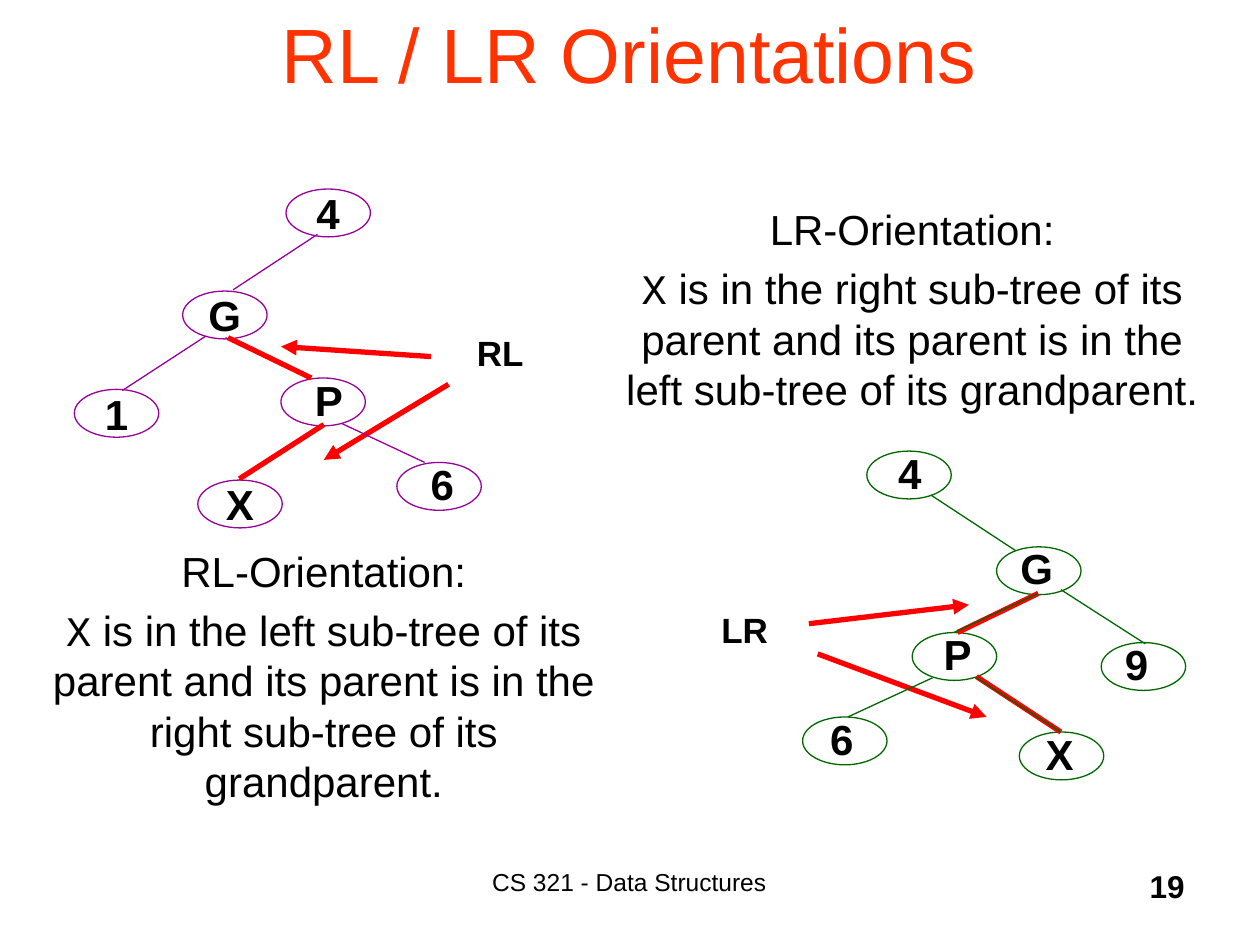
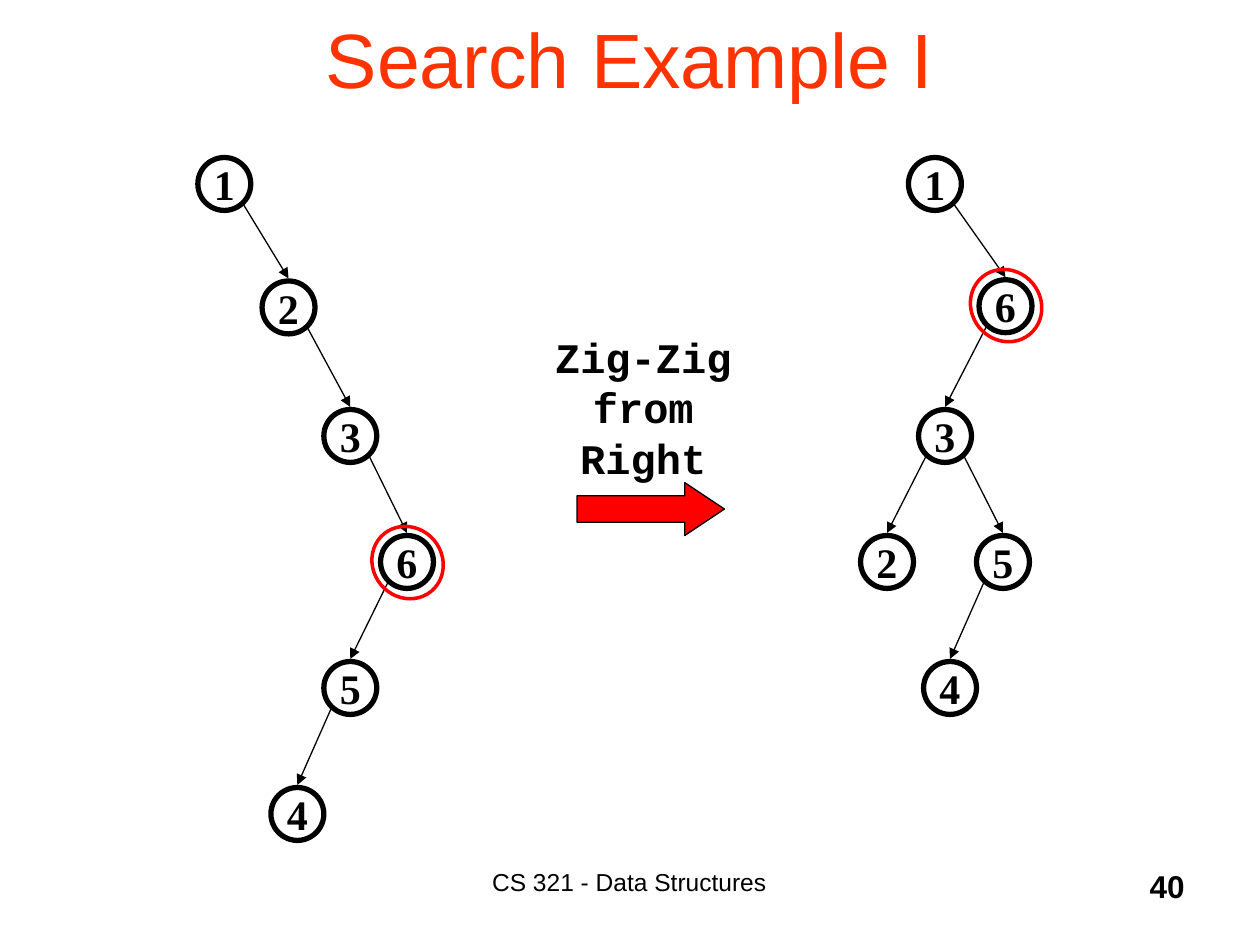
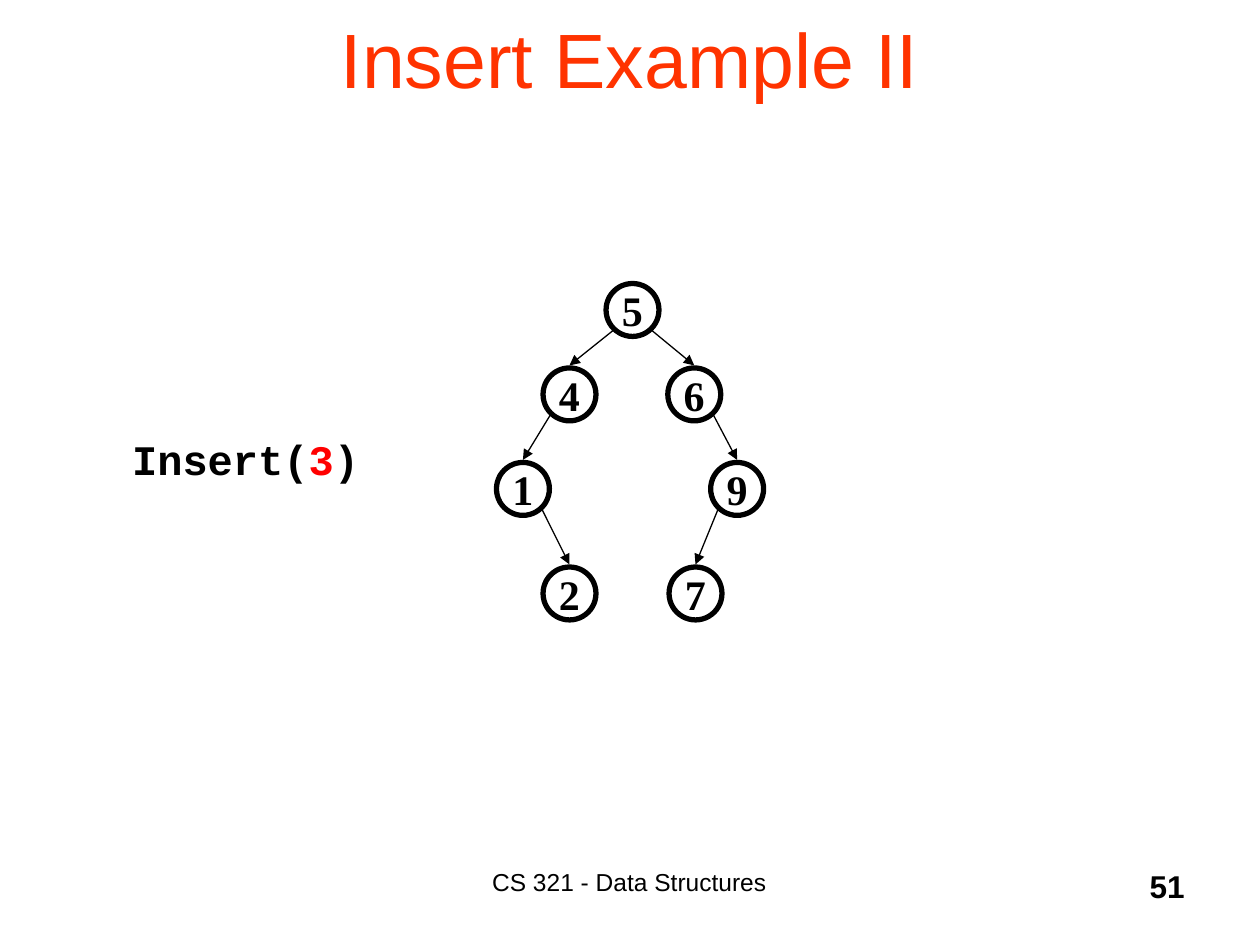
from lxml import etree
from pptx import Presentation
from pptx.dml.color import RGBColor
from pptx.enum.shapes import MSO_CONNECTOR, MSO_SHAPE as SHAPE
from pptx.enum.text import MSO_ANCHOR as ANCHOR, MSO_AUTO_SIZE, PP_ALIGN as ALIGN
from pptx.oxml.ns import qn
from pptx.util import Inches, Pt

BLACK = RGBColor(0x00, 0x00, 0x00)
ORANGE = RGBColor(0xFF, 0x33, 0x00)
RED = RGBColor(0xFF, 0x00, 0x00)
GREEN = RGBColor(0x00, 0x66, 0x00)
PURPLE = RGBColor(0x99, 0x00, 0x99)

SANS, MONO, SERIF = "Arial", "Courier New", "Times New Roman"
TITLE = dict(name=SANS, size=Pt(44), color=ORANGE)
FOOTER = dict(name=SANS, size=Pt(14))
NUMBER = dict(name=SANS, size=Pt(18), bold=True)
BODY = dict(name=SANS, size=Pt(24))
BODY_MONO = dict(name=MONO, size=Pt(24))
LABEL = dict(name=SANS, size=Pt(24), bold=True)
TAG = dict(name=SANS, size=Pt(20), bold=True)
CODE = dict(name=MONO, size=Pt(24), bold=True)
CODE_RED = dict(CODE, color=RED)
KEY = dict(name=SERIF, size=Pt(24), bold=True)
BODY_SPACING = dict(line_spacing=Pt(28.8), space_before=Pt(4.8))

presentation = Presentation()
presentation.slide_width, presentation.slide_height = Inches(10), Inches(7.5)


def write(shape, paragraphs, wrap=True, anchor=ANCHOR.TOP, align=ALIGN.CENTER, **spacing):
    """Fill a shape with paragraphs, each a list of (text, font format) runs."""
    frame = shape.text_frame
    frame.word_wrap, frame.vertical_anchor = wrap, anchor
    frame.auto_size = MSO_AUTO_SIZE.NONE
    for index, runs in enumerate(paragraphs):
        paragraph = frame.add_paragraph() if index else frame.paragraphs[0]
        paragraph.alignment = align
        for name, value in spacing.items():
            setattr(paragraph, name, value)
        for text, font_format in runs:
            run = paragraph.add_run()
            run.text = text
            run.font.color.rgb = BLACK
            for name, value in font_format.items():
                if name == "color":
                    run.font.color.rgb = value
                else:
                    setattr(run.font, name, value)


def draw(slide, kind, place, color, width, fill=None, arrow=False):
    """Draw a shape in a box, or a line (kind None) from one point to another."""
    place = [Inches(value) for value in place]
    if kind is None:
        shape = slide.shapes.add_connector(MSO_CONNECTOR.STRAIGHT, *place)
        if arrow:
            etree.SubElement(shape.line._get_or_add_ln(), qn("a:tailEnd"), type="triangle")
    else:
        shape = slide.shapes.add_shape(kind, *place)
        shape.shadow.inherit = False
        if fill is None:
            shape.fill.background()
        else:
            shape.fill.solid()
            shape.fill.fore_color.rgb = fill
    shape.line.color.rgb, shape.line.width = color, Pt(width)
    if kind is None:
        etree.SubElement(shape._element.spPr, qn("a:effectLst"))
    return shape


# Titles, footers and slide numbers
slides = []
for title, number, box in [
    ("RL / LR Orientations", "19", (0.58, -0.21, 8.83, 1.25)),
    ("Search Example I", "40", (0.75, -0.17, 8.5, 1.25)),
    ("Insert Example II", "51", (0.75, -0.17, 8.5, 1.25)),
]:
    slide = presentation.slides.add_slide(presentation.slide_layouts[5])
    heading = slide.shapes.title
    heading.left, heading.top, heading.width, heading.height = map(Inches, box)
    write(heading, [[(title, TITLE)]], anchor=ANCHOR.MIDDLE)
    for left, width, text, font_format, align in [
        (3.08, 3.83, "CS 321 - Data Structures", FOOTER, ALIGN.CENTER),
        (7.42, 2.08, number, NUMBER, ALIGN.RIGHT),
    ]:
        footer = slide.shapes.add_textbox(*map(Inches, (left, 6.83, width, 0.5)))
        write(footer, [[(text, font_format)]], align=align)
    slides.append(slide)
orientation_slide, search_slide, insert_slide = slides

# Orientation definitions and tags
for name, definition, box in [
    ("RL", " is in the left sub-tree of its parent and its parent is in the "
           "right sub-tree of its grandparent.", (0.19, 4.28, 4.76, 2.2)),
    ("LR", " is in the right sub-tree of its parent and its parent is in the "
           "left sub-tree of its grandparent.", (4.84, 1.57, 4.8, 1.8)),
]:
    text_box = orientation_slide.shapes.add_textbox(*map(Inches, box))
    write(text_box, [[(name + "-Orientation:", BODY)],
                     [("X", BODY_MONO), (definition, BODY)]], **BODY_SPACING)

for name, left, top in [("RL", 3.68, 2.58), ("LR", 5.62, 4.78)]:
    tag = orientation_slide.shapes.add_textbox(*map(Inches, (left, top, 0.58, 0.44)))
    write(tag, [[(name, TAG)]], wrap=False, anchor=ANCHOR.MIDDLE)

# Arrows from the tags to the marked edges
for ends in [(6.42, 4.95, 7.69, 4.8), (6.49, 5.19, 7.83, 5.69),
             (3.42, 2.83, 2.23, 2.75), (3.56, 3.05, 2.57, 3.65)]:
    draw(orientation_slide, None, ends, RED, 3, arrow=True)

# Orientation trees: key, left, top, and the left of a label set apart from its oval
rl_nodes = [("4", 2.27, 1.5, None), ("G", 1.45, 2.31, None), ("1", 0.59, 3.09, None),
            ("P", 2.23, 3, 2.4), ("X", 1.57, 3.81, None), ("6", 3.15, 3.67, 3.32)]
lr_nodes = [("4", 6.88, 3.58, 7.03), ("G", 7.91, 4.34, 8), ("9", 8.74, 5.1, 8.83),
            ("P", 7.24, 5.02, 7.39), ("6", 6.37, 5.69, 6.49), ("X", 8.09, 5.81, 8.2)]
for color, nodes in [(PURPLE, rl_nodes), (GREEN, lr_nodes)]:
    for key, left, top, label_left in nodes:
        label = draw(orientation_slide, SHAPE.OVAL, (left, top, 0.67, 0.38), color, 0.75)
        anchor, align = ANCHOR.MIDDLE, ALIGN.CENTER
        if label_left is not None:
            label = orientation_slide.shapes.add_textbox(
                *map(Inches, (label_left, top - 0.08, 0.44, 0.5)))
            anchor, align = ANCHOR.TOP, ALIGN.LEFT
        write(label, [[(key, LABEL)]], wrap=False, anchor=anchor, align=align,
              space_before=Pt(4.8))

rl_edges = [(2.52, 1.86, 1.85, 2.3), (1.63, 2.67, 0.97, 3.1), (1.79, 2.68, 2.45, 3),
            (2.57, 3.37, 1.9, 3.81), (2.71, 3.36, 3.37, 3.67)]
rl_marks = [(1.81, 2.68, 2.47, 3), (1.9, 3.8, 2.57, 3.37)]
lr_marks = [(7.75, 5.37, 8.42, 5.81), (8.24, 4.71, 7.6, 5.02)]
lr_edges = [(7.39, 3.93, 8.06, 4.37), (8.42, 4.68, 9.09, 5.11), (8.24, 4.71, 7.57, 5.02),
            (7.75, 5.38, 8.42, 5.81), (7.4, 5.38, 6.73, 5.69)]
for color, width, edges in [(PURPLE, 0.75, rl_edges), (RED, 3, rl_marks + lr_marks),
                            (GREEN, 0.75, lr_edges)]:
    for ends in edges:
        draw(orientation_slide, None, ends, color, width)

# Search and insert trees: key -> (left, top, parent key)
NODE = 0.42
before_search = {"1": (1.57, 1.25, None), "2": (2.08, 2.23, "1"), "3": (2.57, 3.25, "2"),
                 "6": (3.02, 4.25, "3"), "5": (2.57, 5.25, "6"), "4": (2.15, 6.25, "5")}
after_search = {"1": (7.21, 1.25, None), "6": (7.77, 2.22, "1"), "3": (7.29, 3.25, "6"),
                "2": (6.83, 4.25, "3"), "5": (7.75, 4.25, "3"), "4": (7.33, 5.25, "5")}
before_insert = {"5": (4.81, 2.25, None), "4": (4.31, 2.92, "5"), "6": (5.3, 2.92, "5"),
                 "1": (3.94, 3.67, "4"), "9": (5.64, 3.67, "6"), "2": (4.31, 4.5, "1"),
                 "7": (5.31, 4.5, "9")}
for slide, tree in [(search_slide, before_search), (search_slide, after_search),
                    (insert_slide, before_insert)]:
    for key, (left, top, parent) in tree.items():
        node = draw(slide, SHAPE.OVAL, (left, top, NODE, NODE), BLACK, 3)
        write(node, [[(key, KEY)]], wrap=False, anchor=ANCHOR.MIDDLE)
        if parent:
            parent_left, parent_top, _ = tree[parent]
            side = 0.15 if left > parent_left else -0.15
            ends = (parent_left + NODE / 2 + side, parent_top + 0.37,
                    left + NODE / 2, top - 0.02)
            draw(slide, None, ends, BLACK, 0.75, arrow=True)

# Rings around the key searched for
for left, top in [(2.96, 4.17), (7.71, 2.13)]:
    ring = draw(search_slide, SHAPE.OVAL, (left, top, 0.55, 0.59), RED, 2)
    ring.rotation = 320.5

# Rotation step between the search trees
step = search_slide.shapes.add_textbox(*map(Inches, (4.25, 2.58, 1.71, 1.31)))
write(step, [[("Zig-Zig from Right", CODE)]], line_spacing=Pt(28.8))
step_arrow = draw(search_slide, SHAPE.RIGHT_ARROW, (4.58, 3.83, 1.17, 0.42), BLACK, 0.75, RED)
step_arrow.adjustments[0], step_arrow.adjustments[1] = 0.5, 0.75

# Insert call
call = insert_slide.shapes.add_textbox(*map(Inches, (0.95, 3.39, 2.02, 0.5)))
write(call, [[("Insert(", CODE), ("3", CODE_RED), (")", CODE)]], wrap=False, align=ALIGN.LEFT)

presentation.save("out.pptx")
